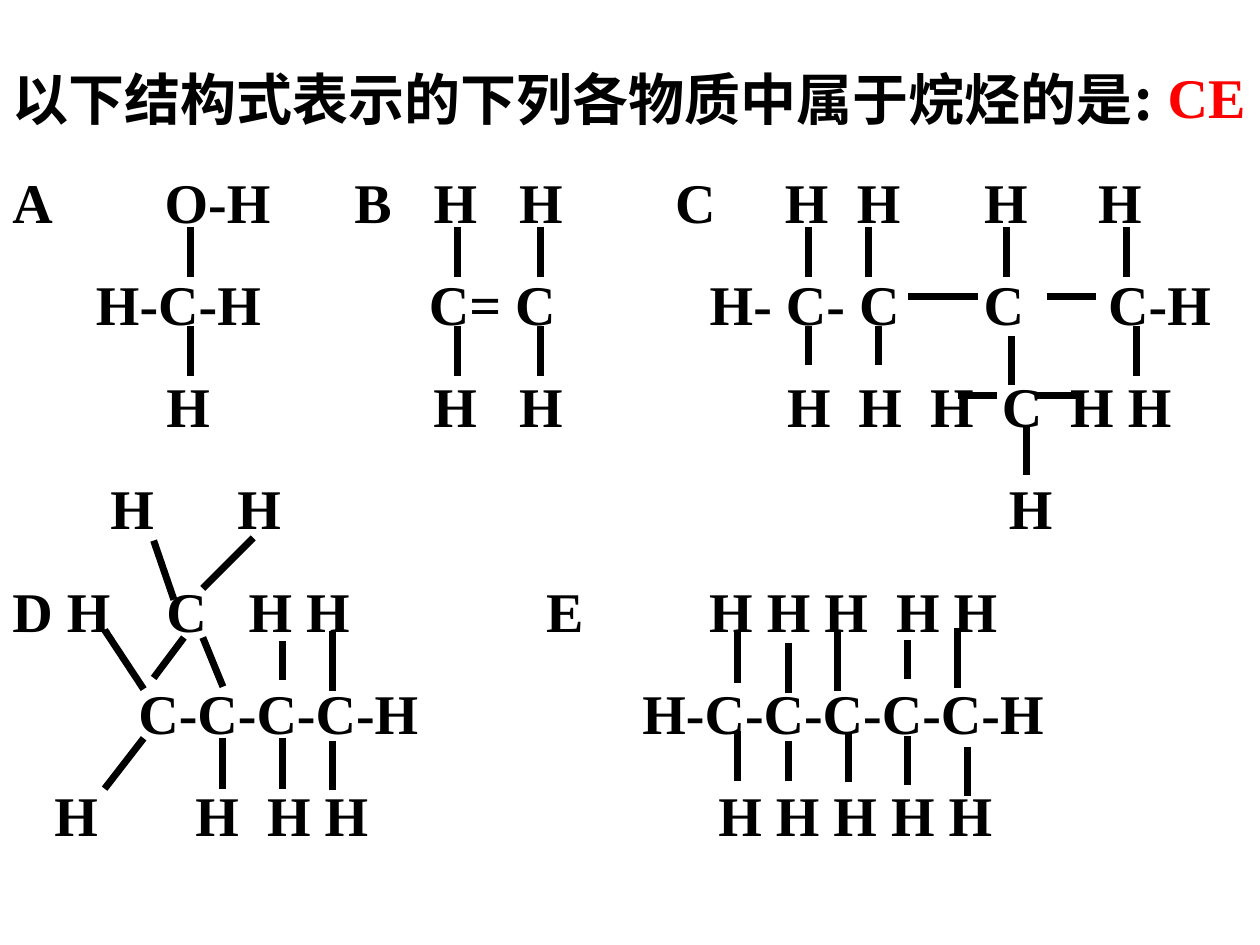
from dataclasses import dataclass

from lxml.etree import SubElement
from pptx import Presentation
from pptx.dml.color import RGBColor
from pptx.enum.shapes import MSO_CONNECTOR
from pptx.enum.text import MSO_ANCHOR, PP_ALIGN
from pptx.oxml.ns import qn
from pptx.util import Pt

BLACK, RED = "000000", "FF0000"
SERIF, SANS = "Times New Roman", "Noto Sans CJK SC"
SIZE = 32


@dataclass
class Atoms:
    x: float  # distance from the left edge of the text
    text: str


@dataclass
class Bond:
    x1: float
    y1: float
    x2: float
    y2: float


# Rows of atoms, each group at its own tab stop
ROWS = [
    [Atoms(0, "A"), Atoms(87, "O-H"), Atoms(195.4, "B"), Atoms(240.7, "H"),
     Atoms(289.6, "H"), Atoms(378.7, "C"), Atoms(441.5, "H"), Atoms(482.5, "H"),
     Atoms(555.3, "H"), Atoms(620.4, "H")],
    [Atoms(47.8, "H-C-H"), Atoms(238, "C= C"), Atoms(398.5, "H- C- C"),
     Atoms(555, "C"), Atoms(626.2, "C-H")],
    [Atoms(88, "H"), Atoms(240.6, "H"), Atoms(289.6, "H"), Atoms(442.7, "H"),
     Atoms(483.4, "H"), Atoms(524.5, "H"), Atoms(565.4, "C"), Atoms(604.5, "H H")],
    [Atoms(56, "H"), Atoms(128.6, "H"), Atoms(569.4, "H")],
    [Atoms(0, "D H"), Atoms(88, "C"), Atoms(135, "H H"), Atoms(305, "E"),
     Atoms(398.2, "H H H"), Atoms(505, "H H")],
    [Atoms(72, "C-C-C-C-H"), Atoms(360, "H-C-C-C-C-C-H")],
    [Atoms(24, "H"), Atoms(104.6, "H"), Atoms(145.6, "H H"), Atoms(403.4, "H H H H H")],
]

# Upright bonds: top, bottom, x positions
UPRIGHT = [
    (129.6, 158.4, [108.7, 261.4, 308.9, 462.2, 496.1, 575.3, 643.7]),
    (186.5, 214.6, [108.7, 261.4, 308.9, 649.4]),
    (186.5, 208.8, [462.2, 501.8]),
    (192.2, 220.3, [578.2]),
    (243.4, 271.4, [586.8]),
    (366.5, 388.8, [161.3]),
    (360.7, 394.6, [190.1, 478.8]),
    (421.9, 450.7, [127.4, 161.3]),
    (423.4, 451.4, [190.1]),
    (361.4, 390.2, [421.2]),
    (367.2, 396, [450.7]),
    (365.8, 388.1, [518.4]),
    (358.6, 393.1, [547.2]),
    (417.6, 446.4, [421.2]),
    (423.4, 446.4, [450.7]),
    (419, 447.1, [484.6]),
    (420.5, 448.6, [518.4]),
    (427, 455, [553]),
]

# Level bonds: y, pairs of left and right
LEVEL = [
    (169.2, [(519.1, 558.7), (598.3, 626.4)]),
    (226.1, [(547.2, 569.5), (592.6, 615.6)]),
]

# Slanted bonds of the ring in D
SLANTED = [
    Bond(59.8, 360, 82.1, 393.8),
    Bond(82.1, 421.9, 59.8, 450.7),
    Bond(105.1, 364.3, 87.8, 387.4),
    Bond(115.9, 364.3, 127.4, 392.4),
    Bond(87.8, 308.9, 99.4, 342.7),
    Bond(144.7, 307.4, 115.9, 336.2),
]


def color(value: str) -> RGBColor:
    return RGBColor.from_string(value)


def add_run(p, text: str, font: str = SERIF, fill: str = BLACK) -> None:
    r = p.add_run()
    r.text = text
    r.font.size, r.font.bold, r.font.name = Pt(SIZE), True, font
    r.font.color.rgb = color(fill)
    SubElement(r._r.get_or_add_rPr(), qn("a:ea")).set("typeface", SANS)


def place(sp, x: float, y: float, w: float, h: float):
    """Position a text shape and return its text frame."""
    sp.left, sp.top, sp.width, sp.height = Pt(x), Pt(y), Pt(w), Pt(h)
    tf = sp.text_frame
    tf.word_wrap = True
    tf.vertical_anchor = MSO_ANCHOR.TOP
    tf.margin_left = tf.margin_right = Pt(7.2)
    tf.margin_top = tf.margin_bottom = Pt(3.6)
    return tf


def add_row(p, row: list[Atoms]) -> None:
    stops = SubElement(p._p.get_or_add_pPr(), qn("a:tabLst"))
    for atoms in row:
        if atoms.x:
            tab = SubElement(stops, qn("a:tab"))
            tab.set("pos", str(int(Pt(atoms.x))))
            tab.set("algn", "l")
        add_run(p, "\t" + atoms.text if atoms.x else atoms.text)


def add_bond(s, bond: Bond) -> None:
    line = s.shapes.add_connector(MSO_CONNECTOR.STRAIGHT, Pt(bond.x1), Pt(bond.y1),
                                  Pt(bond.x2), Pt(bond.y2))
    line.line.width = Pt(4)
    line.line.color.rgb = color(BLACK)
    SubElement(line._element.spPr, qn("a:effectLst"))


def main() -> None:
    prs = Presentation()
    prs.slide_width, prs.slide_height = Pt(720), Pt(540)
    s = prs.slides.add_slide(prs.slide_layouts[5])

    # Question
    tf = place(s.shapes.title, 0, 33.2, 720, 54)
    p = tf.paragraphs[0]
    p.alignment = PP_ALIGN.LEFT
    p.space_before = Pt(0)
    add_run(p, "以下结构式表示的下列各物质中属于烷烃的是:", SANS)

    # Atoms
    tf = place(s.shapes.add_textbox(0, 0, 0, 0), 0, 92, 720, 396)
    for i, row in enumerate(ROWS):
        p = tf.add_paragraph() if i else tf.paragraphs[0]
        add_row(p, row)
        p.space_before = Pt(20 if i else 0)

    # Bonds
    upright = [Bond(x, top, x, bottom) for top, bottom, xs in UPRIGHT for x in xs]
    level = [Bond(x1, y, x2, y) for y, pairs in LEVEL for x1, x2 in pairs]
    for bond in upright + level + SLANTED:
        add_bond(s, bond)

    # Answer
    tf = place(s.shapes.add_textbox(0, 0, 0, 0), 660.2, 32, 59.8, 46)
    tf.word_wrap = False
    add_run(tf.paragraphs[0], "CE", fill=RED)

    prs.save("out.pptx")


if __name__ == "__main__":
    main()
